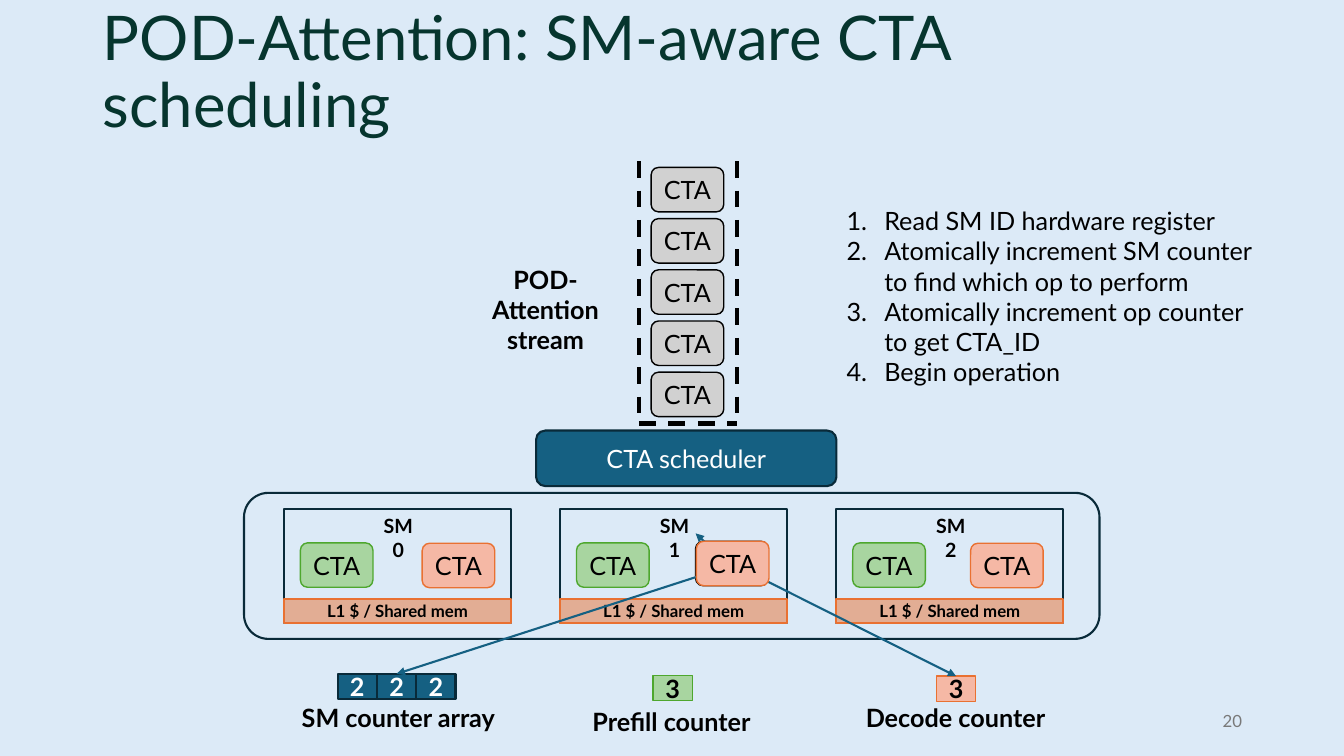
from dataclasses import dataclass

from lxml.etree import SubElement
from pptx import Presentation
from pptx.dml.color import RGBColor
from pptx.enum.dml import MSO_LINE
from pptx.enum.shapes import MSO_CONNECTOR, MSO_SHAPE
from pptx.enum.text import MSO_ANCHOR, MSO_AUTO_SIZE, PP_ALIGN
from pptx.oxml.ns import qn
from pptx.util import Cm, Pt


@dataclass(frozen=True)
class Theme:
    font: str = "Lato"
    background: str = "DCEAF7"
    title: str = "06352E"
    ink: str = "000000"
    white: str = "FFFFFF"
    navy: str = "092A39"
    teal: str = "156082"
    grey: str = "D1D1D1"
    green: str = "A8D5A0"
    green_edge: str = "4EA72E"
    orange: str = "F5B8A5"
    orange_edge: str = "E97132"
    page: str = "797979"
    title_size: int = 44
    text_size: int = 18
    unit_size: int = 14
    small_size: int = 12


def set_all(target, values):
    for name, value in values.items():
        setattr(target, name, value)


def rgb(color):
    return RGBColor.from_string(color)


class Board:
    def __init__(self, slide, theme):
        self.slide, self.theme = slide, theme
        self.shapes = slide.shapes
        slide.background.fill.solid()
        slide.background.fill.fore_color.rgb = rgb(theme.background)

    def start_group(self):
        self.shapes = self.slide.shapes.add_group_shape().shapes

    def end_group(self):
        self.shapes = self.slide.shapes

    def set_text(self, frame, lines, size=None, color=None, bold=False,
                 align=PP_ALIGN.CENTER, spacing=1.0):
        frame.text = "\n".join(lines)
        for paragraph in frame.paragraphs:
            set_all(paragraph, {"alignment": align, "line_spacing": spacing,
                                "space_before": Pt(0)})
            set_all(paragraph.runs[0].font, {
                "name": self.theme.font, "bold": bold,
                "size": Pt(size or self.theme.text_size)})
            paragraph.runs[0].font.color.rgb = rgb(color or self.theme.ink)

    def placeholder(self, holder, box, lines, anchor, **style):
        set_all(holder, dict(zip(("left", "top", "width", "height"), map(Cm, box))))
        set_all(holder.text_frame, {"auto_size": MSO_AUTO_SIZE.NONE,
                                    "word_wrap": True, "vertical_anchor": anchor})
        self.set_text(holder.text_frame, lines, align=PP_ALIGN.LEFT, **style)

    def title(self, box, text):
        self.placeholder(self.slide.shapes.title, box, [text], MSO_ANCHOR.MIDDLE,
                         size=self.theme.title_size, color=self.theme.title, spacing=0.9)

    def steps(self, box, lines):
        """Numbered list in the body placeholder."""
        body = self.slide.placeholders[1]
        self.placeholder(body, box, lines, MSO_ANCHOR.TOP)
        for paragraph in body.text_frame.paragraphs:
            properties = paragraph._p.get_or_add_pPr()
            properties.set("marL", str(Cm(0.95)))
            properties.set("indent", str(-Cm(0.95)))
            SubElement(properties, qn("a:buFont"), typeface="+mj-lt")
            SubElement(properties, qn("a:buAutoNum"), type="arabicPeriod")

    def block(self, box, text="", fill=None, edge=None, weight=1.5, rounded=False,
              opacity=None, **style):
        preset = MSO_SHAPE.ROUNDED_RECTANGLE if rounded else MSO_SHAPE.RECTANGLE
        shape = self.shapes.add_shape(preset, *map(Cm, box))
        shape.shadow.inherit = False
        if fill:
            shape.fill.solid()
            shape.fill.fore_color.rgb = rgb(fill)
        else:
            shape.fill.background()
        if opacity:
            color = shape._element.spPr.find(qn("a:solidFill")).find(qn("a:srgbClr"))
            SubElement(color, qn("a:alpha"), val=str(opacity * 1000))
        shape.line.color.rgb = rgb(edge or self.theme.navy)
        shape.line.width = Pt(weight)
        if text:
            set_all(shape.text_frame, {
                "margin_left": 0, "margin_right": 0, "margin_top": 0,
                "margin_bottom": 0, "vertical_anchor": MSO_ANCHOR.MIDDLE})
            self.set_text(shape.text_frame, [text], **style)
        return shape

    def cta(self, left, top, fill, edge):
        return self.block((left, top, 1.83, 1.12), "CTA", fill, edge, 1, rounded=True)

    def counter(self, left, top, value, fill, edge, weight=1, color=None):
        return self.block((left, top, 0.99, 0.64), value, fill, edge, weight,
                          color=color, bold=True)

    def label(self, box, lines, wrap=False, anchor=MSO_ANCHOR.TOP, **style):
        frame = self.shapes.add_textbox(*map(Cm, box)).text_frame
        set_all(frame, {"word_wrap": wrap, "vertical_anchor": anchor})
        self.set_text(frame, lines, **style)

    def line(self, start, end, color, weight, dash=None, arrow=False, target=None):
        link = self.shapes.add_connector(MSO_CONNECTOR.STRAIGHT,
                                         *map(Cm, (*start, *end)))
        link.line.color.rgb = rgb(color)
        set_all(link.line, {"width": Pt(weight), "dash_style": dash})
        properties = link._element.spPr
        if arrow:
            SubElement(properties.find(qn("a:ln")), qn("a:tailEnd"), type="triangle")
        SubElement(properties, qn("a:effectLst"))
        if target is not None:
            link.end_connect(target, 0)


def main():
    theme = Theme()
    deck = Presentation()
    set_all(deck, {"slide_width": Cm(33.87), "slide_height": Cm(19.05)})
    board = Board(deck.slides.add_slide(deck.slide_layouts[1]), theme)
    grey = (theme.grey, theme.ink)
    green = (theme.green, theme.green_edge)
    orange = (theme.orange, theme.orange_edge)

    board.title((2.34, 0.03, 29.21, 3.68), "POD-Attention: SM-aware CTA scheduling")
    board.steps((21.08, 5.05, 10.92, 4.88), [
        "Read SM ID hardware register",
        "Atomically increment SM counter to find which op to perform",
        "Atomically increment op counter to get CTA_ID",
        "Begin operation"])

    # Streaming multiprocessors
    board.block((6.15, 12.42, 21.56, 3.68), rounded=True)
    for number in range(3):
        left = 7.16 + 6.96 * number
        board.start_group()
        board.block((left, 12.83, 5.72, 2.87))
        board.block((left, 15.09, 5.72, 0.61), "L1 $ / Shared mem", theme.orange_edge,
                    theme.orange_edge, opacity=50, size=theme.small_size, bold=True)
        board.label((left + 2.13, 12.83, 1.5, 0.86), [f"SM {number}"], wrap=True,
                    size=theme.unit_size, bold=True)
        board.end_group()
        board.cta(left + 0.41, 13.68, *green)
    for left in (10.64, 24.46):
        board.cta(left, 13.69, *orange)

    # Stream queue and scheduler
    left, right, top, bottom = 16.1, 18.57, 4.06, 10.67
    board.start_group()
    for start, end in (((left, top), (left, bottom)), ((right, top), (right, bottom)),
                       ((left, bottom), (right, bottom))):
        board.line(start, end, theme.ink, 3, dash=MSO_LINE.DASH)
    board.end_group()
    for place in range(5):
        board.cta(16.41, 4.22 + 1.29 * place, *grey)
    board.label((11.75, 6.53, 4, 1.8), ["POD-Attention", "stream"], wrap=True, bold=True)
    board.block((13.51, 10.85, 7.57, 1.4), "CTA scheduler", theme.teal, rounded=True,
                color=theme.white)

    # Counters
    sm_counters = [board.counter(8.51 + 0.99 * i, 16.98, "2", theme.teal, theme.navy,
                                 1.5, theme.white) for i in range(3)]
    board.counter(16.46, 17.02, "3", *green)
    decode_counter = board.counter(23.6, 17.04, "3", *orange)
    for name, box in (("SM counter array", (7.32, 17.58, 5.44, 1.02)),
                      ("Prefill counter", (14.6, 17.68, 4.65, 1.02)),
                      ("Decode counter", (21.49, 17.58, 5.18, 1.02))):
        board.label(box, [name], bold=True)

    # Newly placed CTA and the counters it updates
    board.cta(17.53, 13.64, *grey)
    board.line((18.34, 14.2), (17.53, 13.44), theme.teal, 1.5, arrow=True)
    for start, end, target in (((18.44, 14.25), (10, 16.98), sm_counters[1]),
                               ((18.44, 14.2), (24.1, 17.04), decode_counter)):
        board.line(start, end, theme.teal, 1.5, arrow=True, target=target)
    board.cta(17.55, 13.64, *orange)

    board.label((23.93, 17.65, 7.62, 1.02), ["20"], wrap=True, anchor=MSO_ANCHOR.MIDDLE,
                size=theme.small_size, color=theme.page, align=PP_ALIGN.RIGHT)
    deck.save("out.pptx")


if __name__ == "__main__":
    main()
